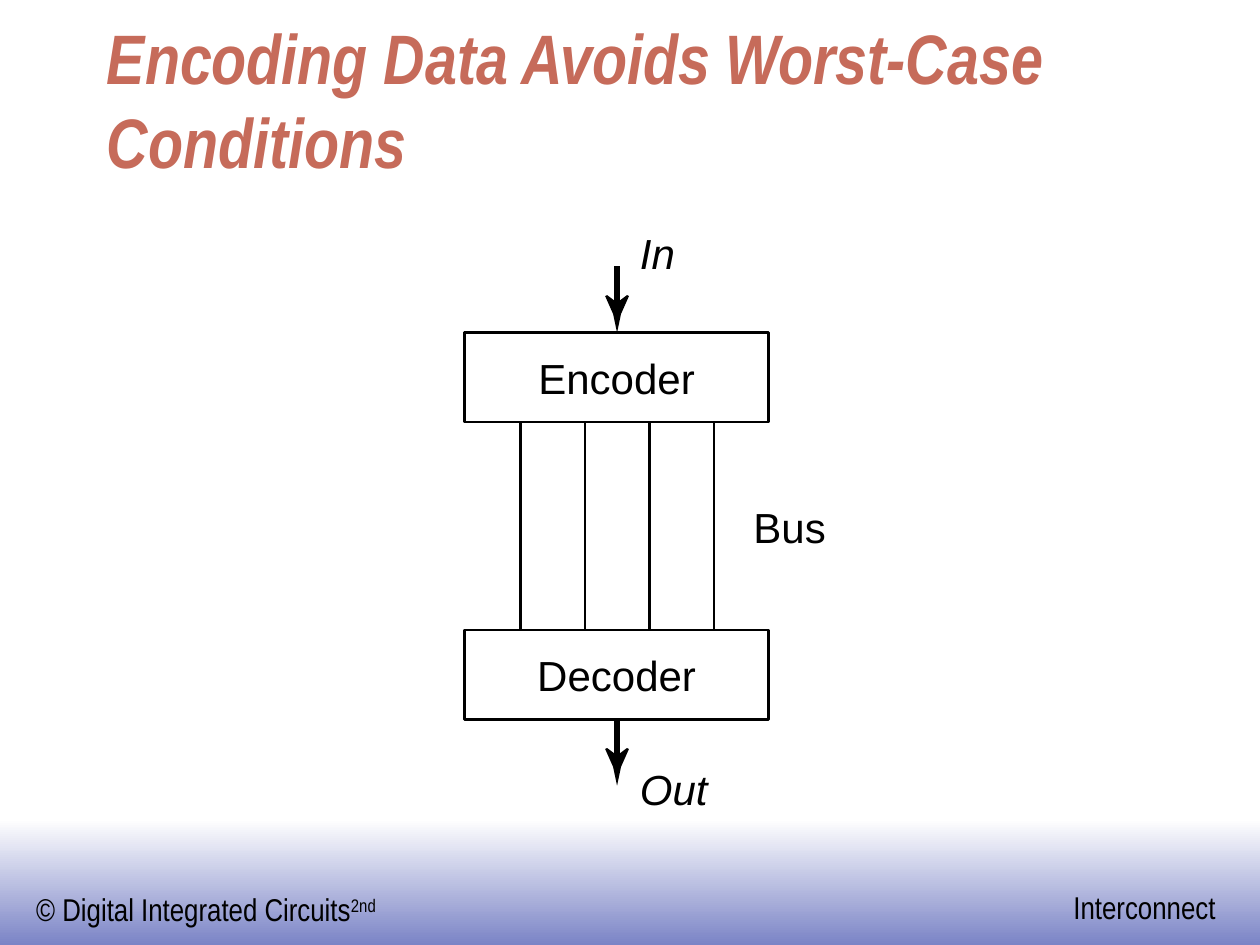
"""Build the slide on encoding bus data, with an encoder and decoder diagram."""
from copy import deepcopy

from pptx import Presentation
from pptx import util as u
from pptx.dml import color
from pptx.enum import shapes, text
from pptx.oxml import ns, xmlchemy


def rgb(value):
    return color.RGBColor.from_string(value)


def write(paragraph, words, size=24, font="Arial", ink="000000", bold=False,
          italic=False, align=text.PP_ALIGN.LEFT, raised=""):
    paragraph.text = words
    paragraph.alignment = align
    if raised:
        paragraph.add_run().text = raised
    for run in paragraph.runs:
        run.font.size = u.Pt(size)
        run.font.name = font
        run.font.bold = bold
        run.font.italic = italic
        run.font.color.rgb = rgb(ink)
    for line_break in paragraph._p.findall(ns.qn("a:br")):
        line_break.append(deepcopy(paragraph.runs[0]._r.rPr))
    if raised:
        paragraph.runs[-1].font._element.set("baseline", "30000")


class Diagram:
    """Hold the slide and its style, and draw each kind of element."""

    ink = "000000"
    accent = "C66B5A"
    band_colours = ("FFFFFF", "7B84C6")
    narrow = "Arial Narrow"
    thin, thick = 1.5, 3

    def __init__(self, slide):
        self.slide = slide
        self.shapes = slide.shapes

    def title(self, words, left, top, width, height):
        heading = self.shapes.title
        heading.left, heading.top = u.Cm(left), u.Cm(top)
        heading.width, heading.height = u.Cm(width), u.Cm(height)
        frame = heading.text_frame
        frame.auto_size = text.MSO_AUTO_SIZE.NONE
        frame.vertical_anchor = text.MSO_ANCHOR.BOTTOM
        write(frame.paragraphs[0], words, size=40, font=self.narrow,
              ink=self.accent, bold=True, italic=True)

    def rectangle(self, left, top, width, height):
        rect = self.shapes.add_shape(
            shapes.MSO_SHAPE.RECTANGLE,
            u.Cm(left), u.Cm(top), u.Cm(width), u.Cm(height))
        rect.shadow.inherit = False
        return rect

    def band(self, left, top, width, height):
        footer = self.rectangle(left, top, width, height)
        footer.line.fill.background()
        footer.fill.gradient()
        footer.fill.gradient_angle = 270
        for stop, shade in zip(footer.fill.gradient_stops, self.band_colours):
            stop.color.rgb = rgb(shade)

    def block(self, words, left, top, width, height):
        unit = self.rectangle(left, top, width, height)
        unit.fill.background()
        unit.line.color.rgb = rgb(self.ink)
        unit.line.width = u.Pt(self.thin)
        unit.text_frame.vertical_anchor = text.MSO_ANCHOR.MIDDLE
        write(unit.text_frame.paragraphs[0], words,
              align=text.PP_ALIGN.CENTER)

    def label(self, words, left, top, width, height=1.02, inset=(0, 0),
              **style):
        frame = self.shapes.add_textbox(
            u.Cm(left), u.Cm(top), u.Cm(width), u.Cm(height)).text_frame
        frame.word_wrap = False
        frame.margin_left = frame.margin_right = u.Cm(inset[0])
        frame.margin_top = frame.margin_bottom = u.Cm(inset[1])
        write(frame.paragraphs[0], words, **style)

    def wire(self, x, top, bottom, weight=thin):
        line = self.shapes.add_connector(
            shapes.MSO_CONNECTOR.STRAIGHT,
            u.Cm(x), u.Cm(top), u.Cm(x), u.Cm(bottom))
        line.line.color.rgb = rgb(self.ink)
        line.line.width = u.Pt(weight)
        line._element.spPr.append(xmlchemy.OxmlElement("a:effectLst"))

    def arrow(self, x, top, tip):
        self.wire(x, top, tip - 0.56, self.thick)
        right = [(0.2, -0.76), (0.24, -0.74), (0.08, -0.38)]
        left = [(-dx, dy) for dx, dy in reversed(right)]
        outline = self.shapes.build_freeform(u.Cm(x), u.Cm(tip - 0.61))
        outline.add_line_segments(
            [(u.Cm(x + dx), u.Cm(tip + dy))
             for dx, dy in right + [(0, 0)] + left])
        head = outline.convert_to_shape()
        head.shadow.inherit = False
        head.fill.solid()
        head.fill.fore_color.rgb = rgb(self.ink)
        head.line.fill.background()


def main():
    deck = Presentation()
    deck.slide_width, deck.slide_height = u.Cm(25.4), u.Cm(19.05)
    diagram = Diagram(deck.slides.add_slide(deck.slide_layouts[5]))

    diagram.band(0, 16.51, 25.4, 2.54)
    footer = {"inset": (0.25, 0.13), "size": 18, "font": diagram.narrow}
    diagram.label("© Digital Integrated Circuits", 0.48, 17.82, 7.8,
                  raised="2nd", **footer)
    diagram.label("Interconnect", 21.39, 17.78, 3.5, **footer)
    diagram.title("Encoding Data Avoids Worst-Case\nConditions",
                  1.9, 0.64, 21.6, 3.17)

    block_left, block_width, block_height = 9.37, 6.12, 1.8
    encoder_top, decoder_top = 6.71, 12.7
    for name, top in (("Encoder", encoder_top), ("Decoder", decoder_top)):
        diagram.block(name, block_left, top, block_width, block_height)

    diagram.label("Bus", 15.19, 10.11, 1.5)
    diagram.label("In", 12.9, 4.59, 0.75, italic=True)
    diagram.label("Out", 12.9, 15.39, 1.4, italic=True)

    flow_x, flow_length = 12.44, 1.34
    decoder_bottom = decoder_top + block_height
    for start in (encoder_top - flow_length, decoder_bottom):
        diagram.arrow(flow_x, start, start + flow_length)
    for bit in range(4):
        diagram.wire(10.49 + 1.3 * bit, encoder_top + block_height,
                     decoder_top)

    deck.save("out.pptx")


if __name__ == "__main__":
    main()
